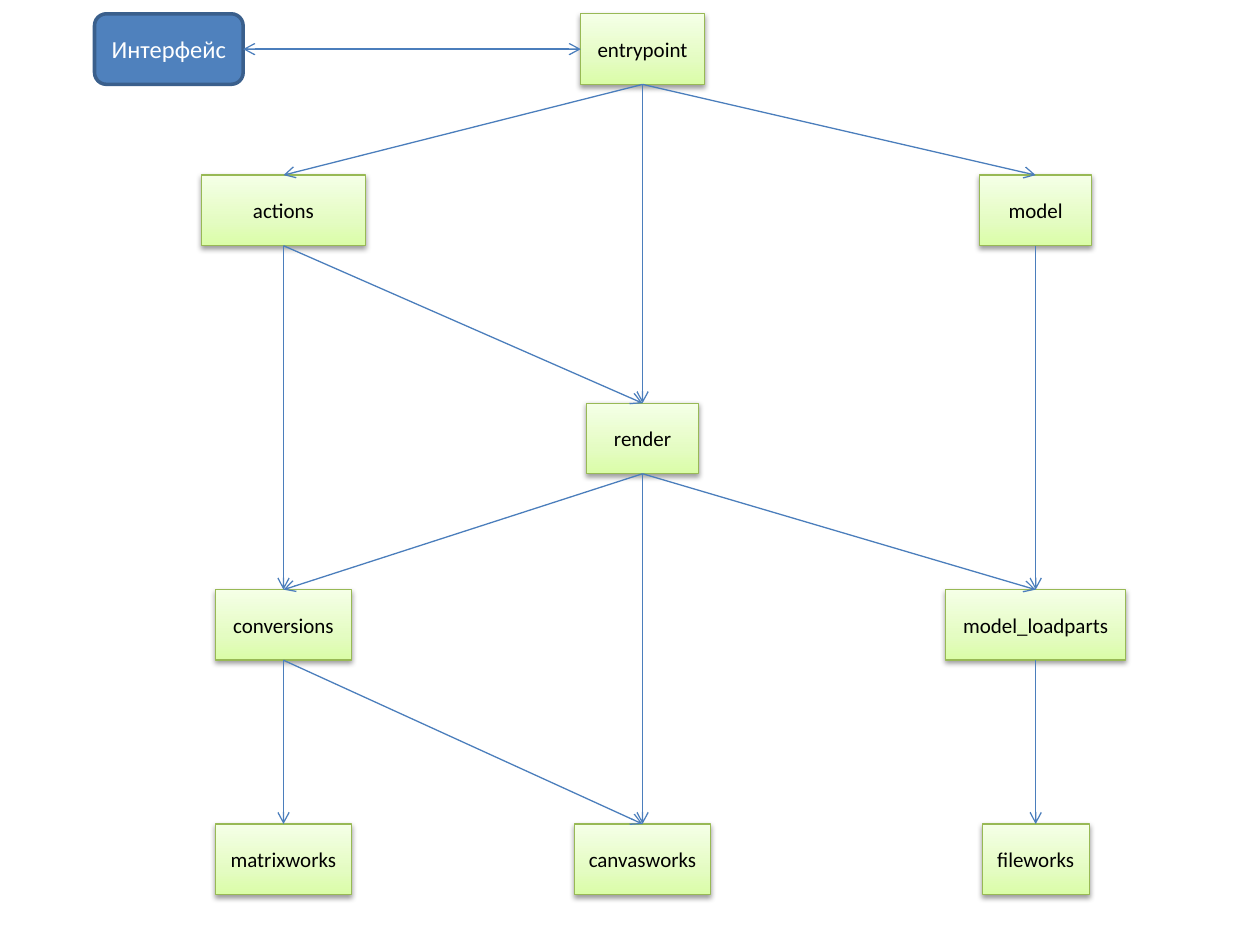
from copy import deepcopy
from dataclasses import dataclass

from lxml.etree import SubElement
from pptx import Presentation
from pptx.dml.color import RGBColor
from pptx.enum.shapes import MSO_CONNECTOR, MSO_SHAPE
from pptx.enum.text import MSO_ANCHOR, PP_ALIGN
from pptx.oxml.ns import qn
from pptx.util import Inches, Pt

TOP, LEFT, BOTTOM, RIGHT = range(4)


@dataclass(frozen=True)
class Theme:
    """Colours, type sizes and line widths."""
    font: str = "Calibri"
    small: int = 12
    large: int = 14
    ink: str = "000000"
    white: str = "FFFFFF"
    blue: str = "4F81BD"
    navy: str = "3A5F8C"
    green: str = "98B955"
    arrow: str = "4B7EBC"
    fade: tuple = ((0, "DAFDA7"), (0.35, "E4FCC2"), (1, "F5FFE7"))
    thin: float = 0.75
    thick: float = 2


class Chart:
    """Draws boxes and arrows on one slide."""

    def __init__(self, slide, theme):
        """Keep the slide and the theme."""
        self.slide, self.theme = slide, theme

    def box(self, kind, text, mid, top, width, size, ink, edge, weight):
        """Add a labelled box centred on mid."""
        shape = self.slide.shapes.add_shape(
            kind, Inches(mid - width / 2), Inches(top), Inches(width), Inches(0.56))
        shape.shadow.inherit = False
        shape.line.color.rgb = RGBColor.from_string(edge)
        shape.line.width = Pt(weight)
        frame = shape.text_frame
        frame.word_wrap = False
        frame.vertical_anchor = MSO_ANCHOR.MIDDLE
        para = frame.paragraphs[0]
        para.text, para.alignment = text, PP_ALIGN.CENTER
        para.font.name, para.font.size = self.theme.font, Pt(size)
        para.font.color.rgb = RGBColor.from_string(ink)
        return shape

    def module(self, text, mid, top, width):
        """Add a green module box with a fade and a shadow."""
        look = self.theme
        shape = self.box(MSO_SHAPE.RECTANGLE, text, mid, top, width,
                         look.small, look.ink, look.green, look.thin)
        shape.fill.gradient()
        shape.fill.gradient_angle = 90
        stops = shape.element.spPr.find(".//" + qn("a:gsLst"))
        stops.append(deepcopy(stops[0]))
        for stop, (place, color) in zip(shape.fill.gradient_stops, look.fade):
            stop.position = place
            stop.color.rgb = RGBColor.from_string(color)
        effects = shape.element.spPr.find(qn("a:effectLst"))
        shadow = SubElement(effects, qn("a:outerShdw"), blurRad=str(Pt(3.1)),
                            dist=str(Pt(1.6)), dir="5400000", rotWithShape="0")
        color = SubElement(shadow, qn("a:srgbClr"), val=look.ink)
        SubElement(color, qn("a:alpha"), val="38000")
        return shape

    def client(self, text, mid, top, width):
        """Add the blue rounded box."""
        look = self.theme
        shape = self.box(MSO_SHAPE.ROUNDED_RECTANGLE, text, mid, top, width,
                         look.large, look.white, look.navy, look.thick)
        shape.fill.solid()
        shape.fill.fore_color.rgb = RGBColor.from_string(look.blue)
        return shape

    def arrow(self, start, end, leave=BOTTOM, reach=TOP, both=False):
        """Join two boxes with an arrow."""
        line = self.slide.shapes.add_connector(MSO_CONNECTOR.STRAIGHT, 0, 0, 0, 0)
        line.begin_connect(start, leave)
        line.end_connect(end, reach)
        line.line.color.rgb = RGBColor.from_string(self.theme.arrow)
        line.line.width = Pt(self.theme.thin)
        stroke = line.line._get_or_add_ln()
        for tag in ("a:headEnd", "a:tailEnd") if both else ("a:tailEnd",):
            SubElement(stroke, qn(tag), type="arrow")
        SubElement(line.element.spPr, qn("a:effectLst"))


WEST, MID, EAST = 2.25, 5.1, 8.22
ROWS = (0.11, 1.39, 3.2, 4.68, 6.54)
MODULES = (
    ("entrypoint", MID, 0, 0.98),
    ("actions", WEST, 1, 1.3),
    ("model", EAST, 1, 0.89),
    ("render", MID, 2, 0.89),
    ("conversions", WEST, 3, 1.08),
    ("model_loadparts", EAST, 3, 1.43),
    ("matrixworks", WEST, 4, 1.08),
    ("canvasworks", MID, 4, 1.08),
    ("fileworks", EAST, 4, 0.85),
)
CALLS = {
    "entrypoint": ("render", "model", "actions"),
    "actions": ("render", "conversions"),
    "model": ("model_loadparts",),
    "render": ("conversions", "model_loadparts", "canvasworks"),
    "conversions": ("matrixworks", "canvasworks"),
    "model_loadparts": ("fileworks",),
}


def main():
    """Build and save the module diagram."""
    deck = Presentation()
    deck.slide_width, deck.slide_height = Inches(10), Inches(7.5)
    chart = Chart(deck.slides.add_slide(deck.slide_layouts[6]), Theme())
    boxes = {name: chart.module(name, mid, ROWS[row], width)
             for name, mid, row, width in MODULES}
    client = chart.client("Интерфейс", 1.34, ROWS[0], 1.18)
    chart.arrow(client, boxes["entrypoint"], RIGHT, LEFT, both=True)
    for name, targets in CALLS.items():
        for target in targets:
            chart.arrow(boxes[name], boxes[target])
    deck.save("out.pptx")


main()
